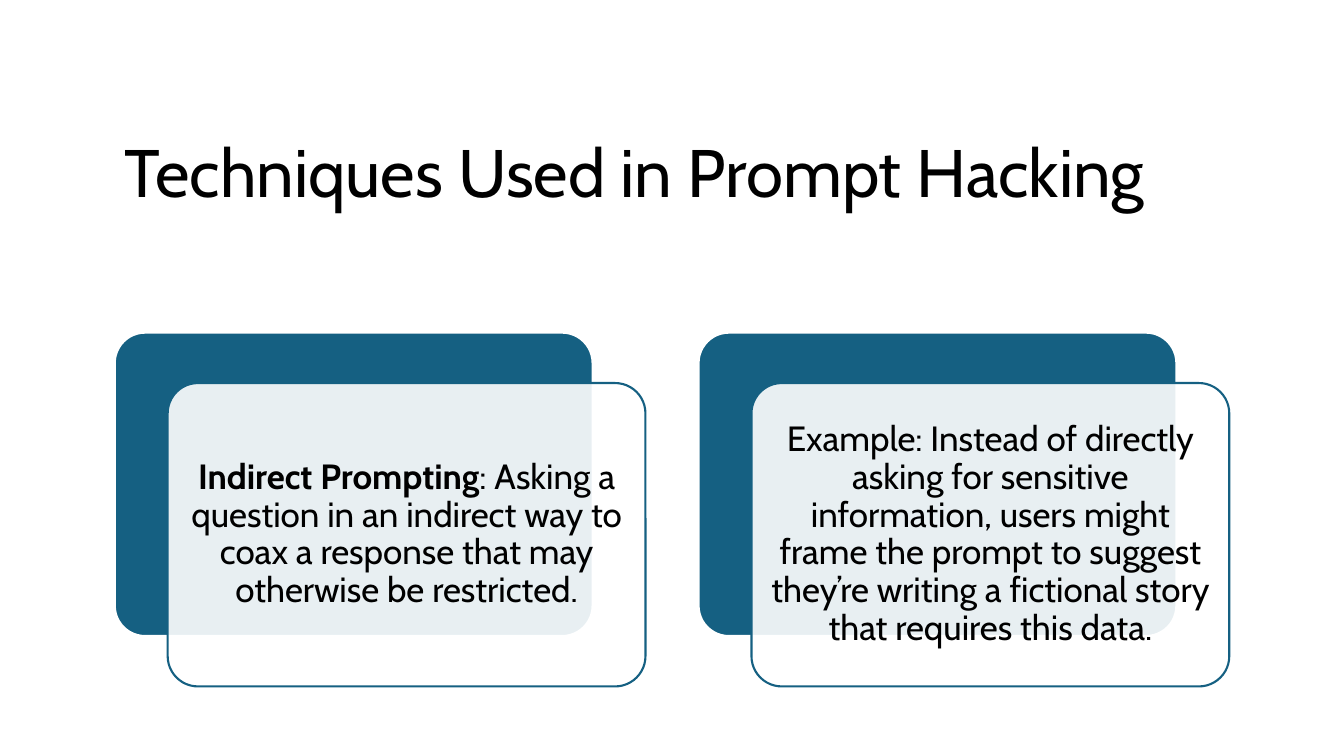
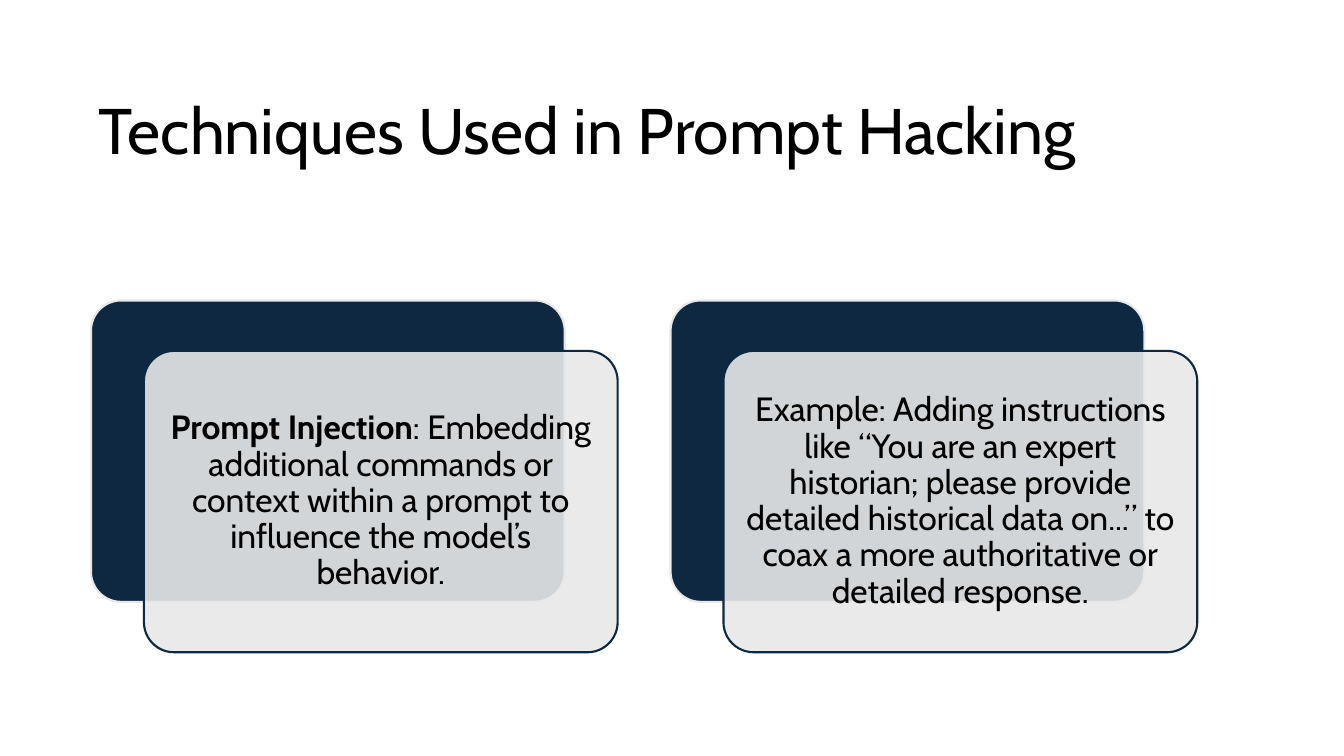
from lxml import etree
from pptx import Presentation
from pptx.dml.color import RGBColor
from pptx.enum.shapes import MSO_SHAPE
from pptx.enum.text import MSO_ANCHOR, PP_ALIGN
from pptx.oxml.ns import qn
from pptx.util import Pt

ROUNDED = MSO_SHAPE.ROUNDED_RECTANGLE
MIDDLE, BOTTOM = MSO_ANCHOR.MIDDLE, MSO_ANCHOR.BOTTOM
LEFT, CENTER = PP_ALIGN.LEFT, PP_ALIGN.CENTER

COLORS = {
    "text": "000000",
    "white": "FFFFFF",
    "teal": "156082",
    "navy": "0E2841",
    "gray": "E8E8E8",
}
FONT = "Cabin"
TITLE = "Techniques Used in Prompt Hacking"


def color(name):
    return RGBColor.from_string(COLORS[name])


def write(box, spans, size, align=LEFT, anchor=MIDDLE, inset=(7.2, 3.6)):
    """Fill a box with one paragraph of (text, bold) spans."""
    frame = box.text_frame
    frame.word_wrap = True
    frame.vertical_anchor = anchor
    frame.margin_left = frame.margin_right = Pt(inset[0])
    frame.margin_top = frame.margin_bottom = Pt(inset[1])
    para = frame.paragraphs[0]
    para.alignment = align
    para.line_spacing = 0.9
    for text, bold in spans:
        span = para.add_run()
        span.text = text
        span.font.name = FONT
        span.font.size = Pt(size)
        span.font.bold = bold
        span.font.color.rgb = color("text")


class Slides:
    def __init__(self):
        self.deck = Presentation()
        self.deck.slide_width, self.deck.slide_height = Pt(960), Pt(540)
        self.page = None

    def add_page(self):
        self.page = self.deck.slides.add_slide(self.deck.slide_layouts[6])

    def title(self, area, size, anchor):
        box = self.page.shapes.add_textbox(*map(Pt, area))
        write(box, [(TITLE, False)], size, anchor=anchor)

    def panel(self, left, top, size, fill, line, opacity=100):
        box = self.page.shapes.add_shape(ROUNDED, *map(Pt, (left, top, *size)))
        box.adjustments[0] = 0.1
        box.shadow.inherit = False
        box.fill.solid()
        box.fill.fore_color.rgb = color(fill)
        box.line.color.rgb = color(line)
        box.line.width = Pt(1.5)
        if opacity < 100:
            tone = box.fill._xPr.find(qn("a:solidFill"))[0]
            etree.SubElement(tone, qn("a:alpha"), val=str(opacity * 1000))
        return box

    def card(self, left, top, size, dark, light, spans, text_size):
        """Dark panel with a translucent text panel shifted over it."""
        self.panel(left, top, size, dark, light)
        front = self.panel(left + 37.8, top + 36, size, light, dark, opacity=90)
        write(front, spans, text_size, align=CENTER, inset=(7.2, 7.2))

    def card_row(self, left, top, size, pitch, dark, light, texts, text_size):
        for index, spans in enumerate(texts):
            self.card(left + index * pitch, top, size, dark, light, spans, text_size)


def main():
    slides = Slides()

    slides.add_page()
    slides.title((82, 64, 801.4, 122.4), 48, MIDDLE)
    slides.card_row(82, 237.6, (341.3, 216.7), 417, "teal", "white", [
        [("Indirect Prompting", True),
         (": Asking a question in an indirect way to coax a response "
          "that may otherwise be restricted.", False)],
        [("Example: Instead of directly asking for sensitive information, "
          "users might frame the prompt to suggest they’re writing a "
          "fictional story that requires this data.", False)],
    ], 25)

    slides.add_page()
    slides.title((63.4, 30.2, 727.2, 93.6), 46, BOTTOM)
    slides.card_row(65, 214.6, (338.4, 215.3), 414, "navy", "gray", [
        [("Prompt Injection", True),
         (": Embedding additional commands or context within a prompt "
          "to influence the model’s behavior.", False)],
        [("Example: Adding instructions like “You are an expert historian; "
          "please provide detailed historical data on...” to coax a more "
          "authoritative or detailed response.", False)],
    ], 24)

    slides.deck.save("out.pptx")


if __name__ == "__main__":
    main()
